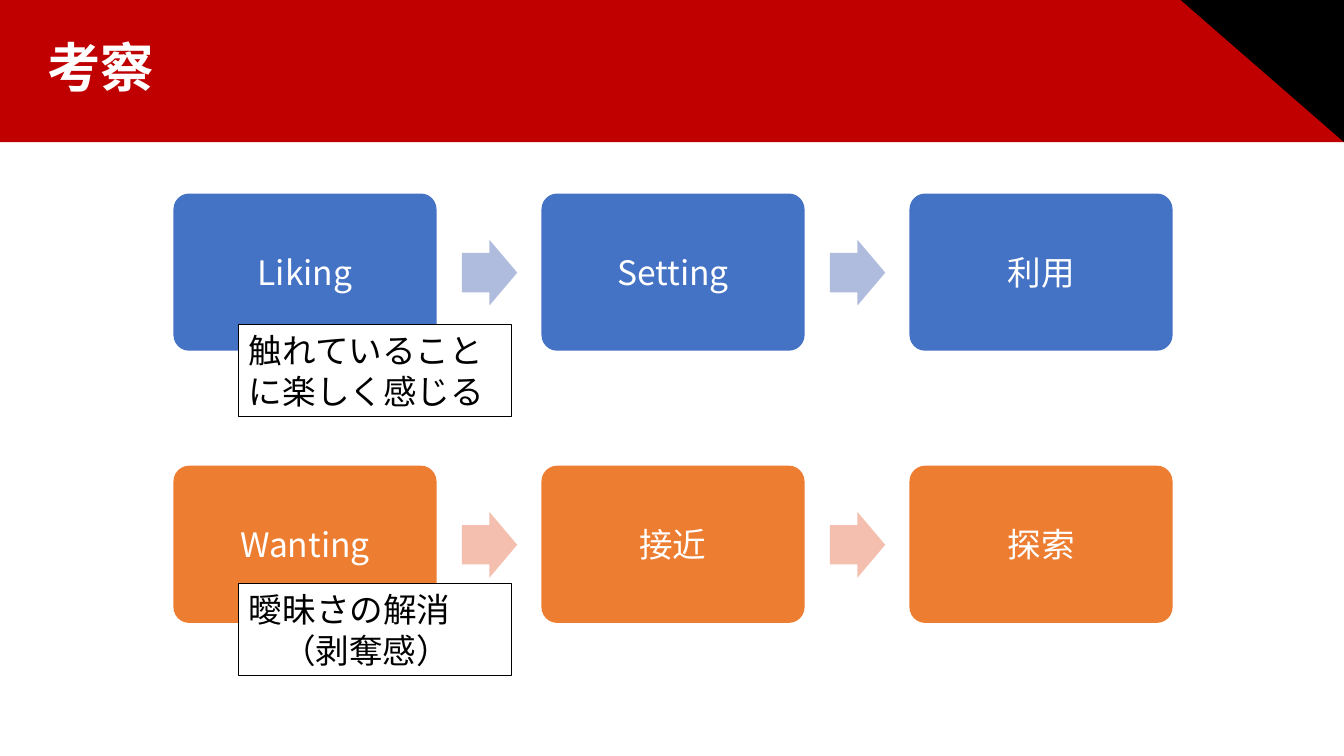
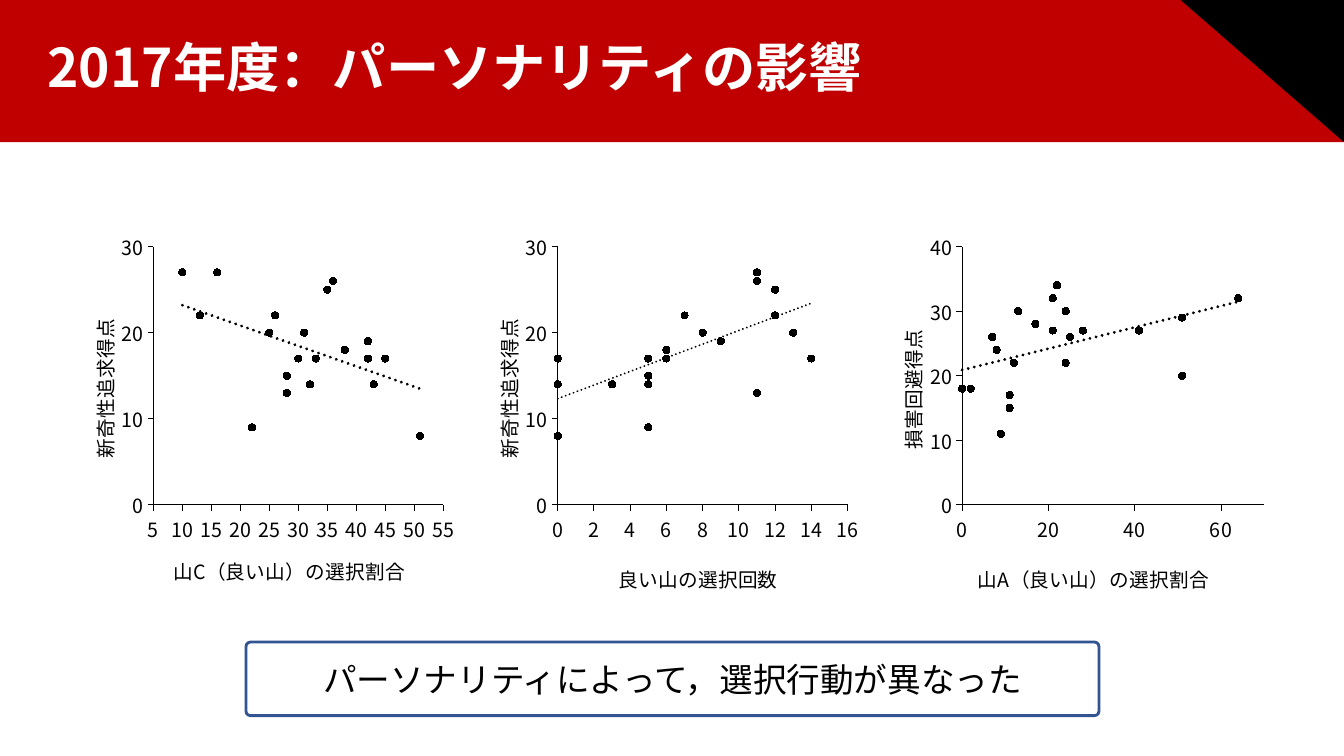
import pptx
import pptx.chart.data
import pptx.dml.color
import pptx.enum.chart
import pptx.enum.shapes
import pptx.enum.text
import pptx.oxml
import pptx.oxml.ns
import pptx.util
from lxml import etree

Inches, Pt = pptx.util.Inches, pptx.util.Pt
qn = pptx.oxml.ns.qn
SHAPE = pptx.enum.shapes.MSO_SHAPE
ALIGN = pptx.enum.text.PP_ALIGN
ANCHOR = pptx.enum.text.MSO_ANCHOR

FONT = "Noto Sans CJK JP"
HEX = {"red": "C00000", "black": "000000", "white": "FFFFFF",
       "blue": "4472C4", "pale blue": "B0BCDE",
       "orange": "ED7D31", "pale orange": "F4BFAE", "frame": "325491"}
COLORS = {name: pptx.dml.color.RGBColor.from_string(code) for name, code in HEX.items()}

deck = pptx.Presentation()
deck.slide_width, deck.slide_height = Inches(13.33), Inches(7.5)


def add_box(page, kind, place, fill=None, line=None, line_width=0.75,
            lines=(), text_color="black", align=ALIGN.CENTER):
    """Add a preset shape with optional 24 pt text, one paragraph per line."""
    box = page.shapes.add_shape(kind, *[Inches(length) for length in place])
    box.shadow.inherit = False
    if fill:
        box.fill.solid()
        box.fill.fore_color.rgb = COLORS[fill]
    else:
        box.fill.background()
    if line:
        box.line.color.rgb = COLORS[line]
        box.line.width = Pt(line_width)
    else:
        box.line.fill.background()
    frame = box.text_frame
    frame.word_wrap = True
    frame.vertical_anchor = ANCHOR.MIDDLE
    for index, text in enumerate(lines):
        para = frame.add_paragraph() if index else frame.paragraphs[0]
        para.text = text
        para.alignment = align
        para.font.name, para.font.size = FONT, Pt(24)
        para.font.color.rgb = COLORS[text_color]
    return box


def set_layout(parent, **fractions):
    """Fix the place of a chart part, in fractions of the chart."""
    layout = parent.find(qn("c:layout"))
    if layout is None:
        layout = etree.Element(qn("c:layout"))
        parent.insert(0, layout)
    manual = etree.SubElement(layout, qn("c:manualLayout"))
    settings = {"xMode": "edge", "yMode": "edge", **fractions}
    if "w" in fractions:
        settings = {"layoutTarget": "inner", **settings}
    for name, value in settings.items():
        etree.SubElement(manual, qn("c:" + name)).set("val", str(value))


# Both slides: red band, black corner and white title
pages = []
for heading in ("考察", "2017年度：パーソナリティの影響"):
    page = deck.slides.add_slide(deck.slide_layouts[5])
    add_box(page, SHAPE.RECTANGLE, (0, 0, 13.33, 1.41), "red")
    corner = add_box(page, SHAPE.RIGHT_TRIANGLE, (11.71, 0, 1.62, 1.41), "black")
    corner.rotation = 180

    title = page.shapes.title
    page.shapes._spTree.append(title._element)  # in front of the band
    title.left, title.top = Inches(0.37), Inches(0.36)
    title.width, title.height = Inches(11.96), Inches(0.72)
    title.text_frame.text = heading
    title.text_frame.auto_size = pptx.enum.text.MSO_AUTO_SIZE.NONE
    title.text_frame.vertical_anchor = ANCHOR.TOP
    para = title.text_frame.paragraphs[0]
    para.alignment, para.line_spacing = ALIGN.LEFT, 0.9
    para.font.name, para.font.size, para.font.bold = FONT, Pt(38), True
    para.font.color.rgb = COLORS["white"]
    pages.append(page)
flow_page, chart_page = pages

# Slide 1: two rows of steps, each with a note on its first step
flows = [
    (1.92, "blue", ("Liking", "Setting", "利用"), 3.22, ["触れていることに楽しく感じる"]),
    (4.62, "orange", ("Wanting", "接近", "探索"), 5.79, ["曖昧さの解消", "（剥奪感）"]),
]
STEP_PITCH = 3.65
for top, color, steps, note_top, note_lines in flows:
    for column, step in enumerate(steps):
        left = 1.72 + column * STEP_PITCH
        card = add_box(flow_page, SHAPE.ROUNDED_RECTANGLE, (left, top, 2.61, 1.56),
                       color, lines=[step], text_color="white")
        card.adjustments[0] = 0.1
        if column < len(steps) - 1:
            arrow = add_box(flow_page, SHAPE.RIGHT_ARROW,
                            (left + 2.86, top + 0.46, 0.55, 0.65), "pale " + color)
            arrow.adjustments[0], arrow.adjustments[1] = 0.6, 0.5
    note = add_box(flow_page, SHAPE.RECTANGLE, (2.37, note_top, 2.7, 0.91),
                   "white", "black", lines=note_lines, align=ALIGN.LEFT)
    for para in note.text_frame.paragraphs[1:]:
        para._p.get_or_add_pPr().set("marL", str(Inches(0.33)))

# Slide 2: three scatter charts with trend lines
novelty = [17, 19, 27, 13, 25, 9, 14, 22, 17, 17, 14, 26, 15, 17, 8, 22, 20, 18, 27, 20, 14]
harm = [24, 27, 32, 11, 18, 29, 22, 22, 30, 20, 26, 17, 27, 32, 18, 28, 30, 15, 27, 26, 34]
charts = [
    dict(left=0.55, x_title="山C（良い山）の選択割合", y_title="新奇性追求得点",
         x_scale=(5, 55, 5), y_max=30, plot_width=0.71, trend_width=2.25,
         x_title_at=(0.28, 0.86), y_title_top=0.24, y=novelty,
         x=[30, 42, 10, 28, 35, 22, 32, 26, 45, 33, 43, 36, 28, 42, 51, 13, 25, 38, 16, 31, 32]),
    dict(left=4.56, x_title="良い山の選択回数", y_title="新奇性追求得点",
         x_scale=(0, 16, 2), y_max=30, plot_width=0.71, trend_width=1.5,
         x_title_at=(0.38, 0.88), y_title_top=0.24, y=novelty,
         x=[5, 9, 11, 11, 12, 5, 5, 7, 0, 14, 0, 11, 5, 6, 0, 12, 13, 6, 11, 8, 3]),
    dict(left=8.57, x_title="山A（良い山）の選択割合", y_title="損害回避得点",
         x_scale=(0, 70, 20), y_max=40, plot_width=0.74, trend_width=2.25,
         x_title_at=(0.27, 0.88), y_title_top=0.27, y=harm,
         x=[8, 21, 21, 9, 0, 51, 24, 12, 13, 51, 7, 11, 41, 64, 2, 17, 24, 11, 28, 25, 22]),
]
for item in charts:
    data = pptx.chart.data.XyChartData()
    points = data.add_series("Series 1")
    for x, y in zip(item["x"], item["y"]):
        points.add_data_point(x, y)
    chart = chart_page.shapes.add_chart(
        pptx.enum.chart.XL_CHART_TYPE.XY_SCATTER, Inches(item["left"]), Inches(2.22),
        Inches(4.05), Inches(3.77), data).chart
    chart.has_legend = chart.has_title = False
    chart.font.name, chart.font.size = FONT, Pt(14)
    chart.font.color.rgb = COLORS["black"]
    set_layout(chart._chartSpace.chart.plotArea, x=0.24, y=0.06, w=item["plot_width"], h=0.68)

    # Axes
    axes = [
        (chart.category_axis, item["x_title"], item["x_scale"], item["x_title_at"], 0),
        (chart.value_axis, item["y_title"], (0, item["y_max"], 10),
         (0.07, item["y_title_top"]), -90),
    ]
    for axis, caption, scale, (title_x, title_y), angle in axes:
        axis.minimum_scale, axis.maximum_scale, axis.major_unit = scale
        axis.has_major_gridlines = False
        axis.major_tick_mark = pptx.enum.chart.XL_TICK_MARK.OUTSIDE
        axis.format.line.color.rgb = COLORS["black"]
        axis.format.line.width = Pt(0.75)
        frame = axis.axis_title.text_frame
        frame.text = caption
        frame._txBody.bodyPr.set("rot", str(angle * 60000))
        frame._txBody.bodyPr.set("vert", "horz")
        font = frame.paragraphs[0].runs[0].font
        font.name, font.size, font.bold = FONT, Pt(14), False
        font.color.rgb = COLORS["black"]
        set_layout(axis.axis_title._element, x=title_x, y=title_y)

    # Points and trend line
    plot = chart.plots[0]
    plot.vary_by_categories = False
    series = plot.series[0]
    series.format.line.fill.background()
    series.marker.style = pptx.enum.chart.XL_MARKER_STYLE.CIRCLE
    series.marker.size = 5
    series.marker.format.fill.solid()
    series.marker.format.fill.fore_color.rgb = COLORS["black"]
    series.marker.format.line.color.rgb = COLORS["black"]
    trend = pptx.oxml.parse_xml(
        f'<c:trendline {pptx.oxml.ns.nsdecls("c", "a")}><c:spPr>'
        f'<a:ln w="{Pt(item["trend_width"])}" cap="rnd"><a:solidFill>'
        f'<a:srgbClr val="{HEX["black"]}"/></a:solidFill><a:prstDash val="sysDot"/></a:ln>'
        '</c:spPr><c:trendlineType val="linear"/><c:dispRSqr val="0"/><c:dispEq val="0"/>'
        '</c:trendline>')
    series._element.find(qn("c:xVal")).addprevious(trend)

# Slide 2: conclusion
conclusion = add_box(chart_page, SHAPE.ROUNDED_RECTANGLE, (2.44, 6.37, 8.46, 0.73),
                     line="frame", line_width=2,
                     lines=["パーソナリティによって，選択行動が異なった"])
conclusion.adjustments[0] = 0.06

# Use the font for Japanese characters too
roots = [page.element for page in pages]
roots += [shape.chart._chartSpace for shape in chart_page.shapes if shape.has_chart]
for root in roots:
    for latin in list(root.iter(qn("a:latin"))):
        east_asian = etree.Element(qn("a:ea"))
        east_asian.set("typeface", FONT)
        latin.addnext(east_asian)

deck.save("out.pptx")
